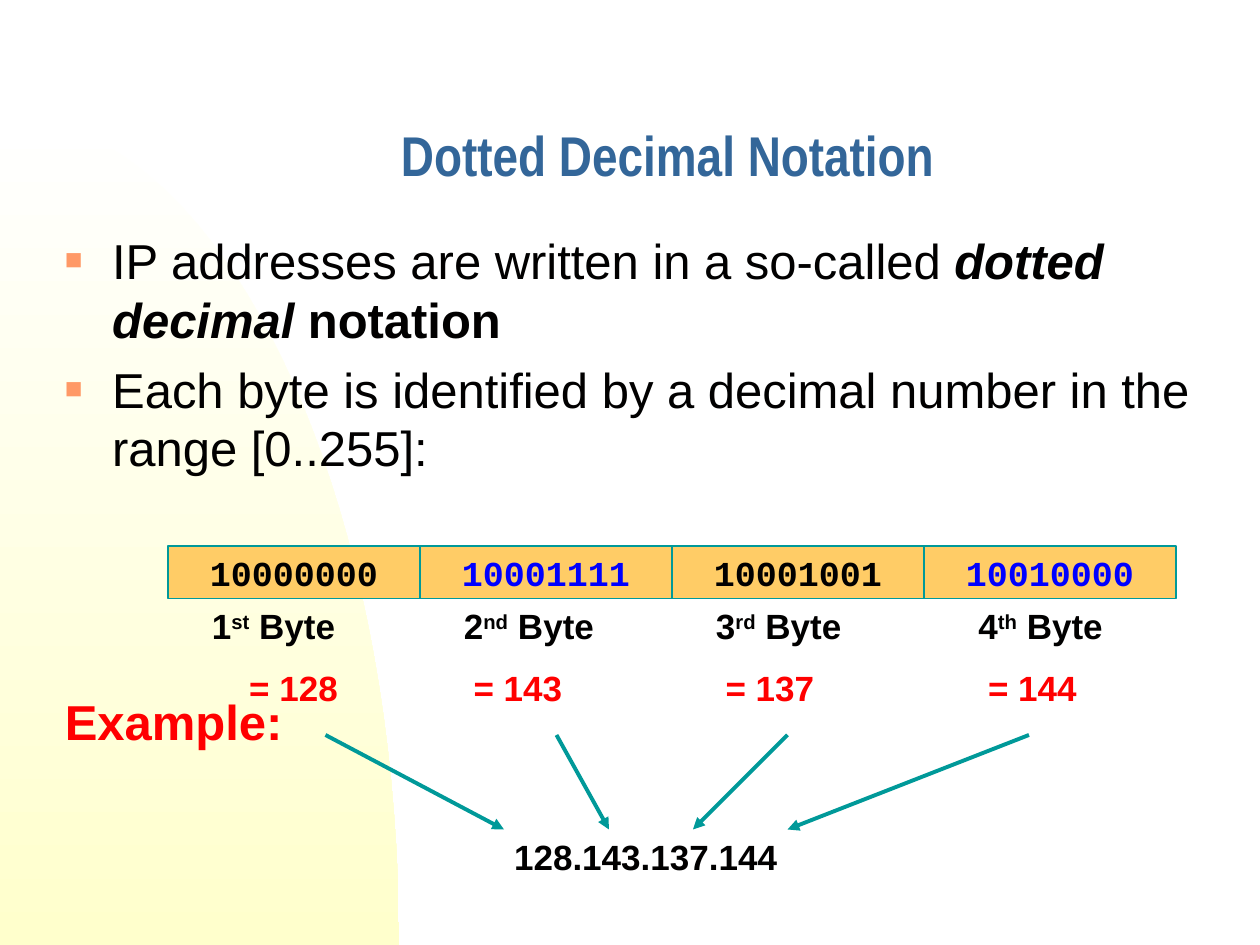
from lxml import etree
from pptx import Presentation
from pptx.dml.color import RGBColor
from pptx.enum.shapes import MSO_CONNECTOR, MSO_SHAPE
from pptx.enum.text import MSO_ANCHOR, PP_ALIGN
from pptx.oxml.ns import qn
from pptx.util import Pt

LEFT, CENTER = PP_ALIGN.LEFT, PP_ALIGN.CENTER
TOP, MIDDLE = MSO_ANCHOR.TOP, MSO_ANCHOR.MIDDLE
RECT, STRAIGHT = MSO_SHAPE.RECTANGLE, MSO_CONNECTOR.STRAIGHT

COLORS = {"title": "336699", "text": "010000", "red": "FF0000", "blue": "0000FF",
          "bullet": "FF9966", "cell": "FFCC66", "teal": "009999",
          "white": "FFFFFF", "cream": "FFFFCC"}

# Content
TITLE = "Dotted Decimal Notation"
BULLETS = [
    [("IP addresses are written in a so-called ", {}),
     ("dotted decimal ", {"bold": True, "italic": True}),
     ("notation", {"bold": True})],
    [("Each byte is identified by a decimal number in the range [0..255]:", {})],
]
EXAMPLE = "Example:"
ADDRESS = "128.143.137.144"
# bits, bit colour, ordinal, suffix, value, value alignment, label left
BYTES = [
    ("10000000", "text", "1", "st", 128, CENTER, 114),
    ("10001111", "blue", "2", "nd", 143, LEFT, 258),
    ("10001001", "text", "3", "rd", 137, LEFT, 402),
    ("10010000", "blue", "4", "th", 144, LEFT, 552),
]
ARROWS = [(186, 288), (318, 348), (450, 396), (588, 450)]  # start x, end x

# Layout
CELL_LEFT, CELL_TOP, CELL_W, CELL_H = 96, 312, 144, 30
ARROW_TOP, ARROW_BOTTOM = 420, 474

BODY = {"size": Pt(28), "name": "Arial"}
LABEL = {"size": Pt(20), "name": "Arial", "bold": True}
BITS = {"size": Pt(20), "name": "Courier New", "bold": True}
HEADING = {"size": Pt(32), "name": "Arial Narrow", "bold": True}


def rgb(key):
    return RGBColor.from_string(COLORS[key])


def add_run(p, text, fmt, color="text"):
    r = p.add_run()
    r.text = text
    for attr, value in fmt.items():
        setattr(r.font, attr, value)
    r.font.color.rgb = rgb(color)
    return r


def add_text(s, x, y, w, h, anchor=TOP):
    tf = s.shapes.add_textbox(Pt(x), Pt(y), Pt(w), Pt(h)).text_frame
    tf.word_wrap = True
    tf.vertical_anchor = anchor
    return tf


def add_bullet(p):
    pPr = p._p.get_or_add_pPr()
    pPr.set("marL", str(Pt(27)))
    pPr.set("indent", str(Pt(-27)))
    clr = etree.SubElement(pPr, qn("a:buClr"))
    etree.SubElement(clr, qn("a:srgbClr"), val=COLORS["bullet"])
    etree.SubElement(pPr, qn("a:buSzPct"), val="60000")
    etree.SubElement(pPr, qn("a:buFont"), typeface="Arial")
    etree.SubElement(pPr, qn("a:buChar"), char="■")


def add_backdrop(s):
    # Quarter curve sampled from a cubic Bezier
    curve = [(0, 66), (126, 66), (228, 279), (228, 540)]
    points = []
    for i in range(41):
        t = i / 40
        weights = ((1 - t) ** 3, 3 * t * (1 - t) ** 2, 3 * t * t * (1 - t), t ** 3)
        points.append(tuple(Pt(sum(k * c[axis] for k, c in zip(weights, curve)))
                            for axis in (0, 1)))
    fb = s.shapes.build_freeform(*points[0])
    fb.add_line_segments(points[1:] + [(0, Pt(540))], close=True)
    sp = fb.convert_to_shape()
    sp.shadow.inherit = False
    sp.line.fill.background()
    sp.fill.gradient()
    sp.fill.gradient_angle = 270
    for stop, key, position in zip(sp.fill.gradient_stops, ("white", "cream"), (0, 1)):
        stop.color.rgb = rgb(key)
        stop.position = position


def add_cell(s, x, bits, color):
    sp = s.shapes.add_shape(RECT, Pt(x), Pt(CELL_TOP), Pt(CELL_W), Pt(CELL_H))
    sp.shadow.inherit = False
    sp.fill.solid()
    sp.fill.fore_color.rgb = rgb("cell")
    sp.line.color.rgb = rgb("teal")
    sp.line.width = Pt(0.75)
    tf = sp.text_frame
    tf.word_wrap = False
    tf.vertical_anchor = MIDDLE
    p = tf.paragraphs[0]
    p.alignment = CENTER
    add_run(p, bits, BITS, color)


def add_label(s, x, ordinal, suffix, value, align):
    tf = add_text(s, x, CELL_TOP + CELL_H, 102, 79)
    p = tf.paragraphs[0]
    add_run(p, ordinal, LABEL)
    add_run(p, suffix, LABEL).font._element.set("baseline", "30000")
    add_run(p, " Byte", LABEL)
    p = tf.add_paragraph()
    p.alignment = align
    p.space_before = Pt(11.5)
    add_run(p, f" = {value}", LABEL, "red")


def add_arrow(s, x1, x2):
    c = s.shapes.add_connector(STRAIGHT, Pt(x1), Pt(ARROW_TOP), Pt(x2), Pt(ARROW_BOTTOM))
    c.line.color.rgb = rgb("teal")
    c.line.width = Pt(2.25)
    etree.SubElement(c.line._get_or_add_ln(), qn("a:tailEnd"), type="triangle")
    etree.SubElement(c._element.spPr, qn("a:effectLst"))


prs = Presentation()
prs.slide_width, prs.slide_height = Pt(720), Pt(540)
s = prs.slides.add_slide(prs.slide_layouts[6])
add_backdrop(s)

# Title
p = add_text(s, 222, 48, 480, 90, MIDDLE).paragraphs[0]
p.line_spacing = 0.7
add_run(p, TITLE, HEADING, "title")

# Bullets and example heading
tf = add_text(s, 30, 128, 672, 352)
for i, runs in enumerate(BULLETS):
    p = tf.add_paragraph() if i else tf.paragraphs[0]
    add_bullet(p)
    if i:
        p.space_before = Pt(6.4)
    for text, fmt in runs:
        add_run(p, text, BODY | fmt)
p = tf.add_paragraph()
p.space_before = Pt(123)
add_run(p, EXAMPLE, BODY | {"bold": True}, "red")

# Byte cells with their labels
for i, (bits, color, ordinal, suffix, value, align, x) in enumerate(BYTES):
    add_cell(s, CELL_LEFT + i * CELL_W, bits, color)
    add_label(s, x, ordinal, suffix, value, align)

# Resulting address and arrows
p = add_text(s, 240, ARROW_BOTTOM, 258, 36).paragraphs[0]
p.alignment = CENTER
add_run(p, ADDRESS, LABEL)
for x1, x2 in ARROWS:
    add_arrow(s, x1, x2)

prs.save("out.pptx")
